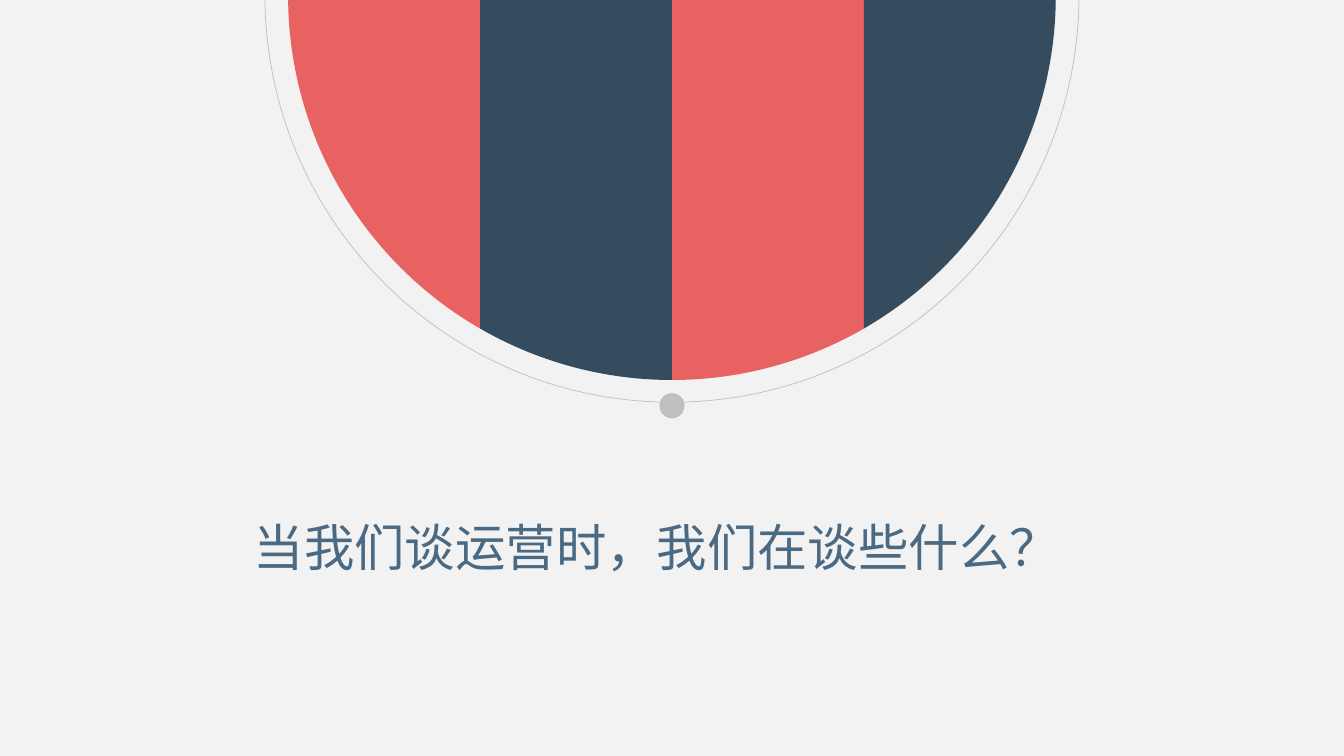
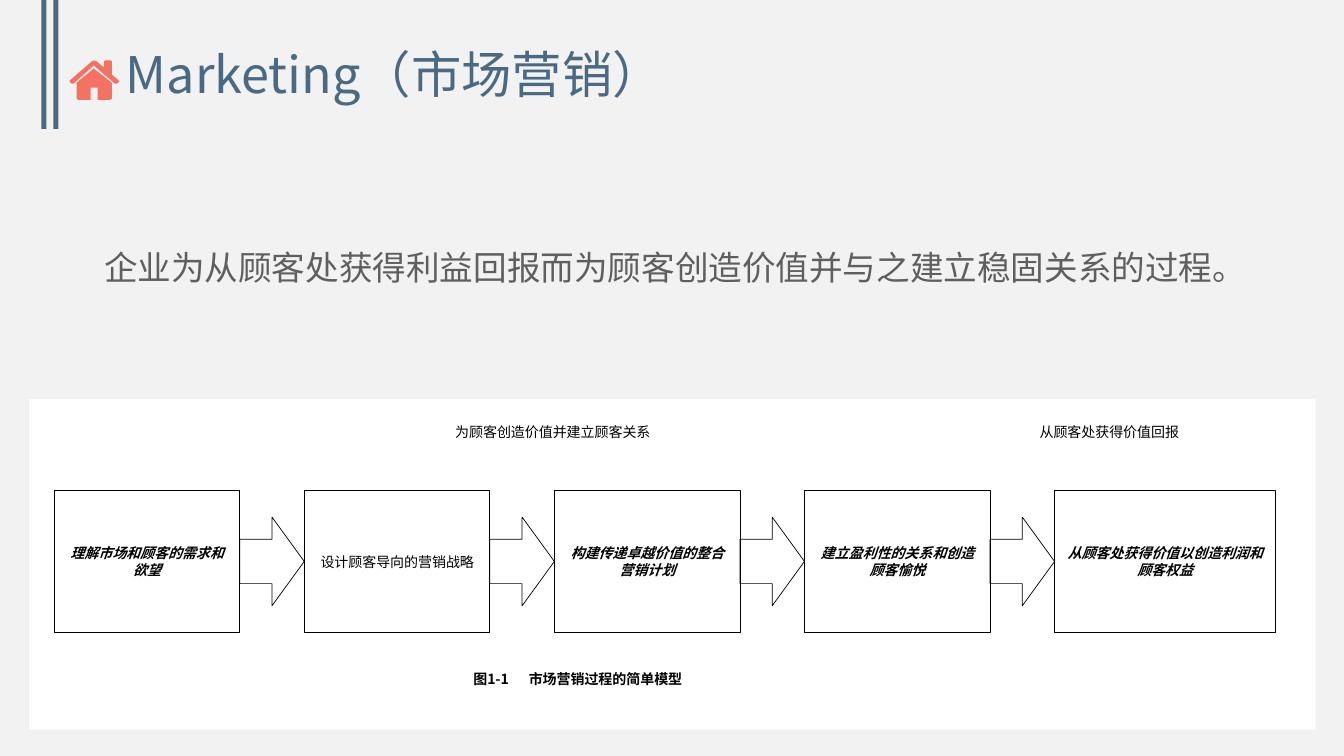
"""Build a cover slide with a striped half disc and a slide on the marketing process."""
from math import acos, asin, cos, sin, tan

from lxml import etree
from pptx import Presentation
from pptx.dml.color import RGBColor
from pptx.enum.shapes import MSO_SHAPE
from pptx.enum.text import MSO_ANCHOR, MSO_AUTO_SIZE, PP_ALIGN
from pptx.oxml.ns import qn
from pptx.util import Inches, Pt

RECTANGLE, OVAL, ARROW = MSO_SHAPE.RECTANGLE, MSO_SHAPE.OVAL, MSO_SHAPE.RIGHT_ARROW
TOP, MIDDLE = MSO_ANCHOR.TOP, MSO_ANCHOR.MIDDLE
LEFT, CENTER = PP_ALIGN.LEFT, PP_ALIGN.CENTER
NO_FIT = MSO_AUTO_SIZE.NONE

PAPER = RGBColor(0xF2, 0xF2, 0xF2)
WHITE = RGBColor(0xFF, 0xFF, 0xFF)
BLACK = RGBColor(0, 0, 0)
STEEL = RGBColor(0x4A, 0x69, 0x82)
NAVY = RGBColor(0x35, 0x4B, 0x5E)
RED = RGBColor(0xE8, 0x62, 0x62)
CORAL = RGBColor(0xF4, 0x72, 0x64)
SILVER = RGBColor(0xBF, 0xBF, 0xBF)
GRAY = RGBColor(0x5F, 0x5F, 0x5F)
SANS, CJK, PLAIN = "Arial", "Noto Sans CJK SC", "DejaVu Sans"

WIDTH, HEIGHT = 13.34, 7.5
TITLE_ONLY = 5

COVER_TITLE = "当我们谈运营时，我们在谈些什么？"
PROCESS_TITLE = "Marketing（市场营销）"
DEFINITION = "企业为从顾客处获得利益回报而为顾客创造价值并与之建立稳固关系的过程。"
STEPS = [
    ("理解市场和顾客的需求和欲望", True),
    ("设计顾客导向的营销战略", False),
    ("构建传递卓越价值的整合营销计划", True),
    ("建立盈利性的关系和创造顾客愉悦", True),
    ("从顾客处获得价值以创造利润和顾客权益", True),
]
NOTES = [
    ("为顾客创造价值并建立顾客关系", (4.42, 4.15, 3.67, 0.27), SANS, False),
    ("从顾客处获得价值回报", (10.22, 4.15, 2.72, 0.27), SANS, False),
    ("图1-1\t市场营销过程的简单模型", (4.6, 6.6, 3.95, 0.27), CJK, True),
]
CAPTION_TAB = 0.55

STRIPES = [RED, NAVY, RED, NAVY]
DISC_RADIUS, DISC_RISE = 3.81, 0.04
RING_RADIUS, RING_RISE = 4.04, 0.05
DOT_SIZE = 0.25

HOUSE = [
    [(1.16, 0.83), (1.14, 0.83), (0.93, 0.65), (0.73, 0.83), (0.71, 0.83),
     (0.69, 0.81), (0.69, 0.8), (0.91, 0.61), (0.93, 0.6), (0.96, 0.61),
     (1.03, 0.67), (1.03, 0.61), (1.04, 0.6), (1.1, 0.6), (1.11, 0.61),
     (1.11, 0.74), (1.18, 0.8), (1.18, 0.81)],
    [(1.11, 0.98), (1.09, 0.99), (0.97, 0.99), (0.97, 0.87), (0.9, 0.87),
     (0.9, 0.99), (0.78, 0.99), (0.76, 0.98), (0.76, 0.82), (0.93, 0.68),
     (1.11, 0.82)],
]


def paint(shape, fill=None, line=None):
    """Set fill and outline, and drop the shadow."""
    shape.shadow.inherit = False
    if fill is None:
        shape.fill.background()
    else:
        shape.fill.solid()
        shape.fill.fore_color.rgb = fill
    if line is None:
        shape.line.fill.background()
    else:
        shape.line.color.rgb = line
        shape.line.width = Pt(0.5)
    return shape


def add_preset(page, kind, place, fill=None, line=None):
    """Add a preset shape at a place given in inches."""
    return paint(page.shapes.add_shape(kind, *map(Inches, place)), fill, line)


def add_outline(page, contours, fill=None, line=None, close=True, curves=0):
    """Add a freeform in inches whose first segments may be Bezier curves."""
    builder = None
    for contour in contours:
        points = [(Inches(x), Inches(y)) for x, y in contour]
        if builder is None:
            builder = page.shapes.build_freeform(*points[0])
        else:
            builder.move_to(*points[0])
        builder.add_line_segments(points[1:], close=close)
    shape = paint(builder.convert_to_shape(), fill, line)
    segments = list(shape._element.iter(qn("a:lnTo")))
    for index in range(0, 3 * curves, 3):
        trio = segments[index:index + 3]
        curve = etree.Element(qn("a:cubicBezTo"))
        trio[0].addprevious(curve)
        for segment in trio:
            curve.append(segment[0])
            segment.getparent().remove(segment)
    return shape


def write(box, text, size, font, color, align=CENTER, anchor=MIDDLE,
          spacing=1.0, bold=False, italic=False, inset=0.05, tab=None):
    """Fill a shape with one formatted paragraph."""
    frame = box.text_frame
    frame.word_wrap = True
    frame.auto_size = NO_FIT
    frame.vertical_anchor = anchor
    frame.margin_left = frame.margin_right = Inches(0.1)
    frame.margin_top = frame.margin_bottom = Inches(inset)
    para = frame.paragraphs[0]
    para.alignment = align
    para.line_spacing = spacing
    para.space_before = Pt(0)
    if tab is not None:
        stops = etree.SubElement(para._p.get_or_add_pPr(), qn("a:tabLst"))
        etree.SubElement(stops, qn("a:tab"), pos=str(Inches(tab)), algn="l")
    span = para.add_run()
    span.text = text
    span.font.size = Pt(size)
    span.font.bold = bold
    span.font.italic = italic
    span.font.color.rgb = color
    span.font.name = font
    etree.SubElement(span._r.get_or_add_rPr(), qn("a:ea"), typeface=CJK)


def add_page(deck, title, place, font, align):
    """Add a slide with its title in the shared title style."""
    page = deck.slides.add_slide(deck.slide_layouts[TITLE_ONLY])
    box = page.shapes.title
    box.left, box.top, box.width, box.height = map(Inches, place)
    write(box, title, 36, font, STEEL, align, spacing=0.9)
    return page


def arc(radius, rise, start, end):
    """Return Bezier points between two angles measured from straight down."""
    reach = 4 / 3 * tan((end - start) / 4)

    def spot(angle, shift):
        return (WIDTH / 2 + radius * (sin(angle) + shift * cos(angle)),
                radius * (cos(angle) - shift * sin(angle)) - rise)

    return [spot(start, 0), spot(start, reach), spot(end, -reach), spot(end, 0)]


def build_cover(deck):
    """Draw the striped half disc over the cover title."""
    page = add_page(deck, COVER_TITLE, (0.11, 4.85, 12.82, 1.21), SANS, CENTER)
    limit = acos(DISC_RISE / DISC_RADIUS)
    angles = [max(-limit, min(limit, asin(2 * i / len(STRIPES) - 1)))
              for i in range(len(STRIPES) + 1)]
    for color, start, end in zip(STRIPES, angles, angles[1:]):
        bottom = arc(DISC_RADIUS, DISC_RISE, start, end)
        corners = [(bottom[-1][0], 0), (bottom[0][0], 0)]
        add_outline(page, [bottom + corners], color, curves=1)
    limit = acos(RING_RISE / RING_RADIUS)
    ring = arc(RING_RADIUS, RING_RISE, -limit, 0) + arc(RING_RADIUS, RING_RISE, 0, limit)[1:]
    add_outline(page, [ring], line=SILVER, close=False, curves=2)
    add_preset(page, OVAL, ((WIDTH - DOT_SIZE) / 2, 3.9, DOT_SIZE, DOT_SIZE), SILVER)


def build_process(deck):
    """Draw the definition and the five-step process."""
    page = add_page(deck, PROCESS_TITLE, (1.15, 0.37, 11.28, 0.79), CJK, LEFT)
    for left in (0.41, 0.53):
        add_preset(page, RECTANGLE, (left, 0, 0.05, 1.28), STEEL)
    add_outline(page, HOUSE, CORAL)
    box = page.shapes.add_textbox(*map(Inches, (0.26, 1.39, 12.88, 2.4)))
    write(box, DEFINITION, 24, CJK, GRAY, spacing=1.3)

    add_preset(page, RECTANGLE, (0.29, 3.96, 12.77, 3.28), WHITE)
    first, final, middle = 0.54, 10.47, 5.57
    width, final_width, height = 1.84, 2.19, 1.41
    arrow_width, arrow_height = 0.64, 0.88
    pitch = (final - first) / (len(STEPS) - 1)
    for index, (text, strong) in enumerate(STEPS):
        left = first + index * pitch
        last = index == len(STEPS) - 1
        place = (left, middle - height / 2, final_width if last else width, height)
        box = add_preset(page, RECTANGLE, place, line=BLACK)
        write(box, text, 10, PLAIN if strong else SANS, BLACK,
              bold=strong, italic=strong, inset=0.1)
        if not last:
            place = (left + width, middle - arrow_height / 2, arrow_width, arrow_height)
            add_preset(page, ARROW, place, line=BLACK)
    for text, place, font, bold in NOTES:
        box = page.shapes.add_textbox(*map(Inches, place))
        write(box, text, 10, font, BLACK, LEFT, TOP, bold=bold,
              tab=CAPTION_TAB if "\t" in text else None)


def main():
    """Build and save the deck."""
    deck = Presentation()
    deck.slide_width, deck.slide_height = Inches(WIDTH), Inches(HEIGHT)
    background = deck.slide_master.background.fill
    background.solid()
    background.fore_color.rgb = PAPER
    build_cover(deck)
    build_process(deck)
    deck.save("out.pptx")


if __name__ == "__main__":
    main()
